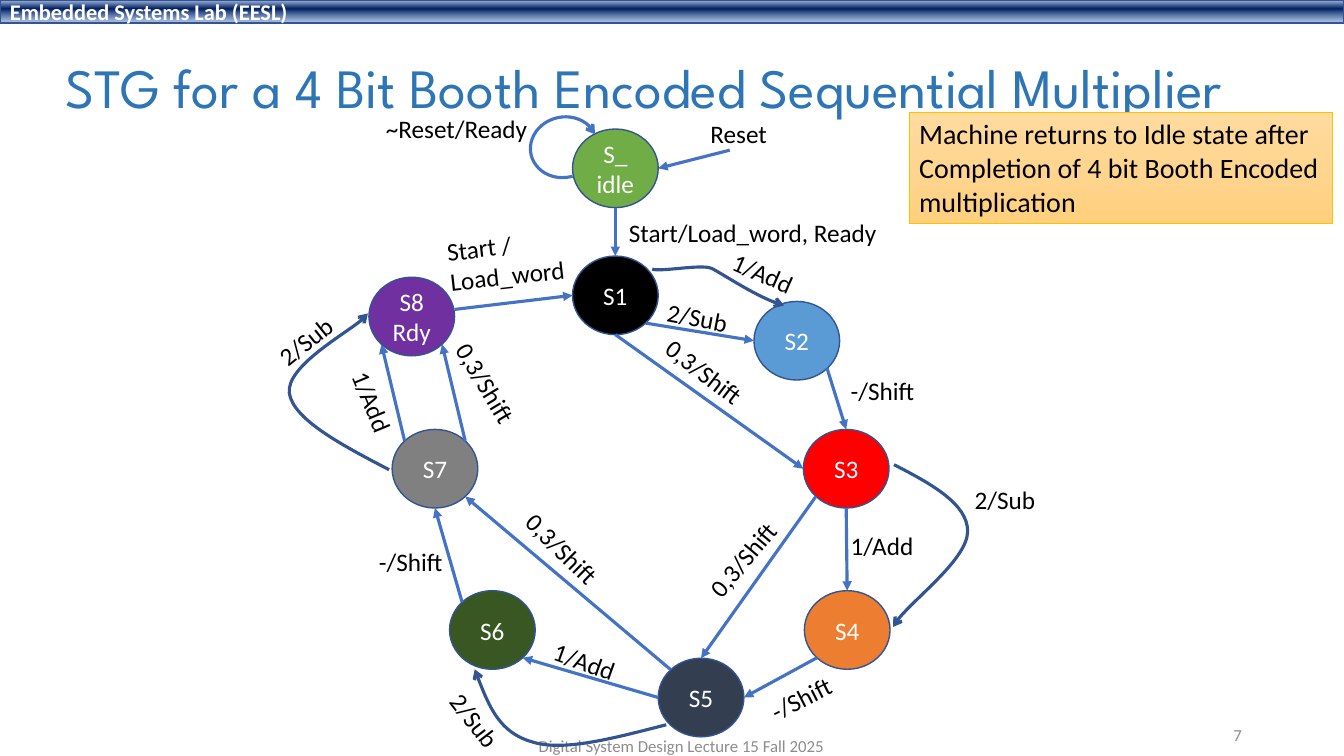
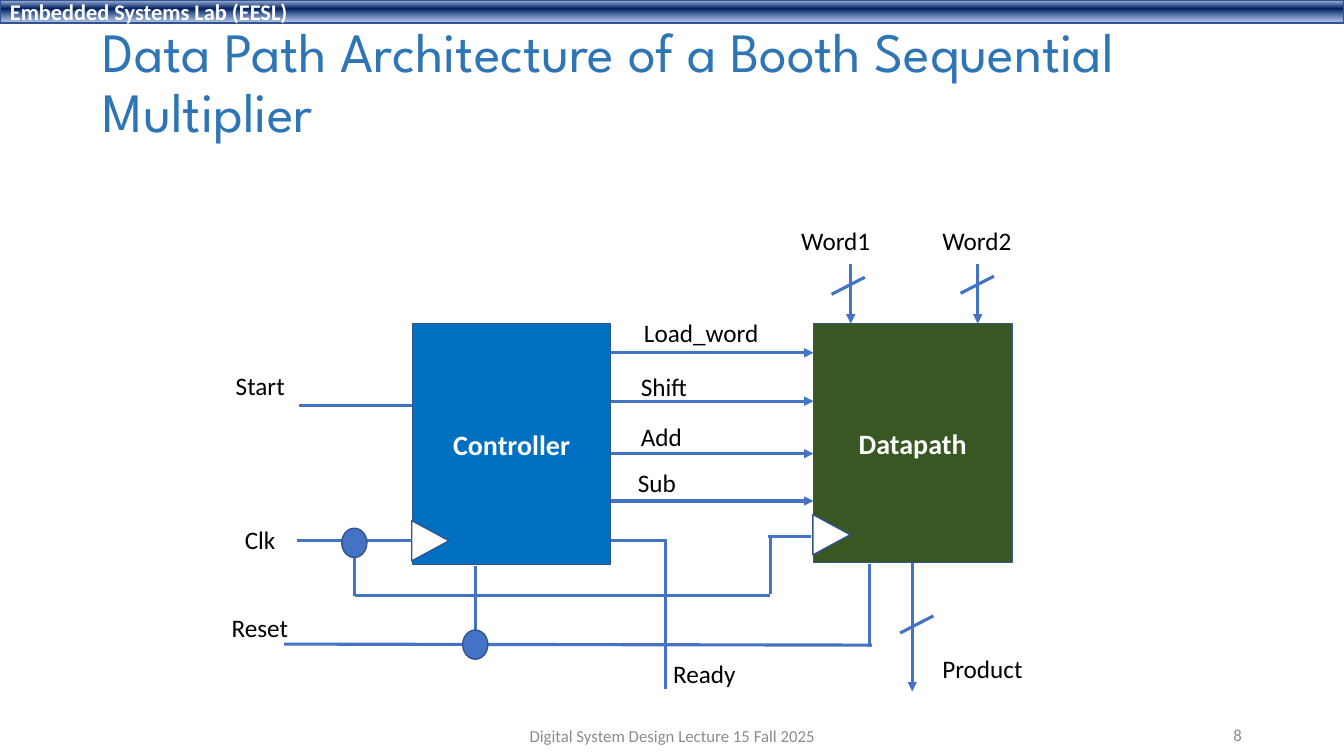
"""Build two slides on a Booth encoded sequential multiplier: state graph and data path."""
from math import cos, radians, sin

from lxml.etree import SubElement
from pptx import Presentation
from pptx.dml.color import RGBColor
from pptx.enum.shapes import MSO_CONNECTOR, MSO_SHAPE
from pptx.enum.text import MSO_ANCHOR, MSO_AUTO_SIZE, PP_ALIGN
from pptx.oxml.ns import qn
from pptx.util import Pt

SCALE = 9144
PAGE_WIDTH, PAGE_HEIGHT = 1333.33, 750
WHITE = RGBColor(0xFF, 0xFF, 0xFF)
BLACK = RGBColor(0x00, 0x00, 0x00)
GRAY = RGBColor(0x8C, 0x8C, 0x8C)
TITLE_BLUE = RGBColor(0x2E, 0x75, 0xB6)
WIRE = RGBColor(0x44, 0x72, 0xC4)
OUTLINE = RGBColor(0x32, 0x54, 0x91)
GOLD = RGBColor(0xFF, 0xC0, 0x00)
CONTROL_BLUE = RGBColor(0x00, 0x70, 0xC0)
FOREST = RGBColor(0x38, 0x57, 0x23)

LAB = "Embedded Systems Lab (EESL)"
FOOTER = "Digital System Design Lecture 15 Fall 2025"
BAND_STOPS = [(2, "ABC0E4", 100), (38, "002060", 100), (93, "7E9ED6", 64)]
NOTE_STOPS = [(0, "FFDB9E", 100), (50, "FFD590", 100), (100, "FFD07C", 100)]
NOTE = "Machine returns to Idle state after\nCompletion of 4 bit Booth Encoded\nmultiplication"

STATE_WIDTH, STATE_HEIGHT = 85, 78
STATES = {
    "S1": (568, 254, BLACK),
    "S2": (748, 299, RGBColor(0x5B, 0x9B, 0xD5)),
    "S7": (389, 426, RGBColor(0x80, 0x80, 0x80)),
    "S4": (798, 586, RGBColor(0xED, 0x7D, 0x31)),
    "S6": (446, 586, FOREST),
    "S5": (653, 653, RGBColor(0x33, 0x3F, 0x50)),
    "S8\nRdy": (366, 275, RGBColor(0x70, 0x30, 0xA0)),
    "S_\nidle": (568, 128, RGBColor(0x70, 0xAD, 0x47)),
    "S3": (797, 426, RGBColor(0xFF, 0x00, 0x00)),
}
COMPASS = ["E", "SE", "S", "SW", "W", "NW", "N", "NE"]
TRANSITIONS = [
    ("S_\nidle", "S", "S1", "N"),
    ("S1", "SE", "S2", "W"),
    ("S1", "S", "S3", "W"),
    ("S2", "SE", "S3", "N"),
    ("S3", "S", "S4", "N"),
    ("S3", "SW", "S5", "N"),
    ("S4", "SW", "S5", "E"),
    ("S5", "W", "S6", "SE"),
    ("S5", "NW", "S7", "SE"),
    ("S6", "NW", "S7", "S"),
    ("S7", "NW", "S8\nRdy", "SW"),
    ("S7", "NE", "S8\nRdy", "SE"),
]
FREE_ARROWS = [(724, 149, 653, 167), (451, 307, 568, 293)]
CURVES = [
    [(647, 267), (655, 270), (695, 262), (705, 266), (708, 266), (753, 297), (778, 303)],
    [(887, 461), (924, 480), (960, 500), (960, 527), (960, 554), (895, 603), (886, 622)],
    [(661, 719), (610, 732), (559, 746), (528, 736), (496, 727), (483, 696), (471, 664)],
    [(386, 466), (338, 441), (291, 416), (287, 390), (284, 364), (363, 319), (365, 311)],
]
GRAPH_LABELS = [
    ("Reset", 695, 112, 77, 0),
    ("Start/Load_word, Ready", 614, 211, 269, 0),
    ("~Reset/Ready", 373, 108, 162, 0),
    ("Start /\nLoad_word", 435, 223, 135, 353.6),
    ("1/Add", 716, 251, 83, 23.9),
    ("1/Add", 834, 521, 83, 0),
    ("1/Add", 539, 636, 83, 19.7),
    ("1/Add", 328, 379, 83, 67.6),
    ("2/Sub", 652, 295, 81, 10.9),
    ("2/Sub", 957, 476, 81, 0),
    ("2/Sub", 431, 695, 81, 52.3),
    ("2/Sub", 263, 318, 81, 321.1),
    ("-/Shift", 834, 367, 85, 0),
    ("-/Shift", 753, 672, 85, 333.2),
    ("-/Shift", 366, 537, 85, 0),
    ("0,3/Shift", 683, 534, 109, 310.1),
    ("0,3/Shift", 504, 525, 109, 44.6),
]
WRAPPED_LABELS = [("0,3/Shift", 644, 353, 121, 37.7), ("0,3/Shift", 426, 364, 117, 58.9)]

BLOCKS = [("Controller", 409, 321, 197, 239, CONTROL_BLUE), ("Datapath", 807, 321, 197, 237, FOREST)]
CONTROL_ROWS = [350, 398, 450, 497]
WORD_INPUTS = [844, 970]
CLOCK_INPUTS = [(407, 518), (805, 512)]
JUNCTIONS = [(339, 524), (459, 625)]
BUS_SLASHES = [(825, 292), (953, 291), (893, 628)]
WIRES = [
    (409, 536, 295, 536), (805, 532, 762, 532), (764, 533, 764, 589),
    (764, 591, 352, 591), (352, 591, 352, 536), (472, 562, 472, 642),
    (863, 560, 863, 642), (865, 640, 282, 639), (297, 402, 409, 402),
    (606, 536, 660, 536), (660, 535, 660, 684),
]
PATH_LABELS = [
    ("Load_word", 629, 310, 135, 0), ("Shift", 626, 363, 67, 0),
    ("Add", 626, 413, 61, 0), ("Sub", 623, 459, 58, 0),
    ("Clk", 233, 515, 51, 0), ("Reset", 220, 603, 77, 0),
    ("Start", 224, 362, 69, 0), ("Word1", 785, 219, 89, 0),
    ("Word2", 925, 219, 89, 0), ("Product", 925, 643, 101, 0),
    ("Ready", 658, 648, 83, 0),
]


def px(*lengths):
    return [round(length * SCALE) for length in lengths]


def write(shape, text, size=18, color=BLACK, bold=False, align=PP_ALIGN.LEFT,
          anchor=MSO_ANCHOR.MIDDLE, font="Calibri", spacing=None, wrap=True, grow=False):
    frame = shape.text_frame
    frame.auto_size = MSO_AUTO_SIZE.SHAPE_TO_FIT_TEXT if grow else MSO_AUTO_SIZE.NONE
    frame.word_wrap = wrap
    frame.vertical_anchor = anchor
    for index, line in enumerate(text.split("\n")):
        para = frame.add_paragraph() if index else frame.paragraphs[0]
        para.alignment = align
        if spacing:
            para.line_spacing = spacing
        span = para.add_run()
        span.text = line
        span.font.name = font
        span.font.size = Pt(size)
        span.font.bold = bold
        span.font.color.rgb = color


def add_text(page, text, left, top, width, height, turn=0, **style):
    box = page.shapes.add_textbox(*px(left, top, width, height))
    box.rotation = turn
    write(box, text, **style)


def add_labels(page, labels, wrap=False):
    for text, left, top, width, turn in labels:
        height = 40 + 31 * text.count("\n")
        add_text(page, text, left, top, width, height, turn,
                 anchor=MSO_ANCHOR.TOP, wrap=wrap, grow=True)


def add_figure(page, kind, left, top, width, height, fill=None, line=OUTLINE, weight=1):
    figure = page.shapes.add_shape(kind, *px(left, top, width, height))
    figure.shadow.inherit = False
    if fill is None:
        figure.fill.background()
    else:
        figure.fill.solid()
        figure.fill.fore_color.rgb = fill
    figure.line.color.rgb = line
    figure.line.width = Pt(weight)
    return figure


def shade(figure, stops):
    figure.fill.gradient()
    figure.fill.gradient_angle = 270
    stop_list = next(figure.element.iter(qn("a:gsLst")))
    stop_list.clear()
    for position, color, opacity in stops:
        stop = SubElement(stop_list, qn("a:gs"), pos=str(position * 1000))
        paint = SubElement(stop, qn("a:srgbClr"), val=color)
        if opacity < 100:
            SubElement(paint, qn("a:alpha"), val=str(opacity * 1000))


def add_head(line, head):
    outline = next(line.element.iter(qn("a:ln")))
    SubElement(outline, qn("a:tailEnd"), type=head)


def add_wire(page, ends, head=None):
    wire = page.shapes.add_connector(MSO_CONNECTOR.STRAIGHT, *px(*ends))
    wire.line.color.rgb = WIRE
    wire.line.width = Pt(2.25)
    if head:
        add_head(wire, head)
    SubElement(wire.element.spPr, qn("a:effectLst"))


def add_curve(page, controls):
    builder = page.shapes.build_freeform(*controls[0], scale=SCALE)
    builder.add_line_segments(controls[1:], close=False)
    curve = builder.convert_to_shape()
    outline = next(curve.element.iter(qn("a:path")))
    segments = outline.findall(qn("a:lnTo"))
    for first in range(0, len(segments), 3):
        bend = SubElement(outline, qn("a:cubicBezTo"))
        for segment in segments[first:first + 3]:
            bend.append(segment[0])
            outline.remove(segment)
    curve.shadow.inherit = False
    curve.fill.background()
    curve.line.color.rgb = OUTLINE
    curve.line.width = Pt(2.25)
    add_head(curve, "arrow")


def state_point(name, direction):
    left, top, _ = STATES[name]
    angle = radians(45 * COMPASS.index(direction))
    return (left + STATE_WIDTH / 2 * (1 + cos(angle)),
            top + STATE_HEIGHT / 2 * (1 + sin(angle)))


def add_page(deck, title, title_place, footer_place, number):
    page = deck.slides.add_slide(deck.slide_layouts[5])
    heading = page.shapes.title
    heading.left, heading.top, heading.width, heading.height = px(*title_place)
    write(heading, title, size=39.6, color=TITLE_BLUE, font="League Spartan", spacing=0.9)
    add_text(page, FOOTER, *footer_place, 450, 40, size=12, color=GRAY, align=PP_ALIGN.CENTER)
    add_text(page, str(number), 942, 709, 300, 40, size=12, color=GRAY, align=PP_ALIGN.RIGHT)
    return page


def add_master_band(deck, page):
    band = add_figure(page, MSO_SHAPE.RECTANGLE, 0, 0, PAGE_WIDTH, 23)
    shade(band, BAND_STOPS)
    write(band, LAB, size=16, color=WHITE, bold=True)
    deck.slide_master.shapes.element.insert(2, band.element)


def draw_state_graph(page):
    for name, (left, top, fill) in STATES.items():
        state = add_figure(page, MSO_SHAPE.OVAL, left, top, STATE_WIDTH, STATE_HEIGHT, fill)
        write(state, name, color=WHITE, align=PP_ALIGN.CENTER)
    for start, leave, end, enter in TRANSITIONS:
        add_wire(page, state_point(start, leave) + state_point(end, enter), "triangle")
    for ends in FREE_ARROWS:
        add_wire(page, ends, "triangle")
    loop = add_figure(page, MSO_SHAPE.ARC, 526, 116, 67, 60, line=WIRE, weight=2.25)
    loop.adjustments[0], loop.adjustments[1] = 159.7, 102.03
    loop.rotation = 167.3
    add_head(loop, "arrow")
    for controls in CURVES:
        add_curve(page, controls)
    note = add_figure(page, MSO_SHAPE.RECTANGLE, 902, 111, 420, 111, line=GOLD, weight=0.5)
    shade(note, NOTE_STOPS)
    write(note, NOTE, size=20, anchor=MSO_ANCHOR.TOP, wrap=False, grow=True)
    add_labels(page, GRAPH_LABELS)
    add_labels(page, WRAPPED_LABELS, wrap=True)


def draw_data_path(page):
    for name, left, top, width, height, fill in BLOCKS:
        block = add_figure(page, MSO_SHAPE.RECTANGLE, left, top, width, height, fill)
        write(block, name, size=20, color=WHITE, bold=True, align=PP_ALIGN.CENTER)
    for left, top in CLOCK_INPUTS:
        add_figure(page, MSO_SHAPE.ISOSCELES_TRIANGLE, left, top, 40, 37, WHITE).rotation = 90
    arrows = [(606, row, 807, row) for row in CONTROL_ROWS]
    arrows += [(column, 262, column, 321) for column in WORD_INPUTS]
    arrows.append((905, 559, 905, 686))
    for ends in arrows:
        add_wire(page, ends, "triangle")
    slashes = [(left, bottom, left + 33, bottom - 17) for left, bottom in BUS_SLASHES]
    for ends in WIRES + slashes:
        add_wire(page, ends)
    for left, top in JUNCTIONS:
        add_figure(page, MSO_SHAPE.OVAL, left, top, 25, 29, WIRE)
    add_labels(page, PATH_LABELS)


def main():
    deck = Presentation()
    deck.slide_width, deck.slide_height = px(PAGE_WIDTH, PAGE_HEIGHT)
    graph = add_page(deck, "STG for a 4 Bit Booth Encoded Sequential Multiplier",
                     (55, 23, 1213, 134), (451, 720), 7)
    add_master_band(deck, graph)
    draw_state_graph(graph)
    path = add_page(deck, "Data Path Architecture of a Booth Sequential Multiplier",
                    (92, 16, 1150, 136), (442, 710), 8)
    draw_data_path(path)
    deck.save("out.pptx")


if __name__ == "__main__":
    main()
